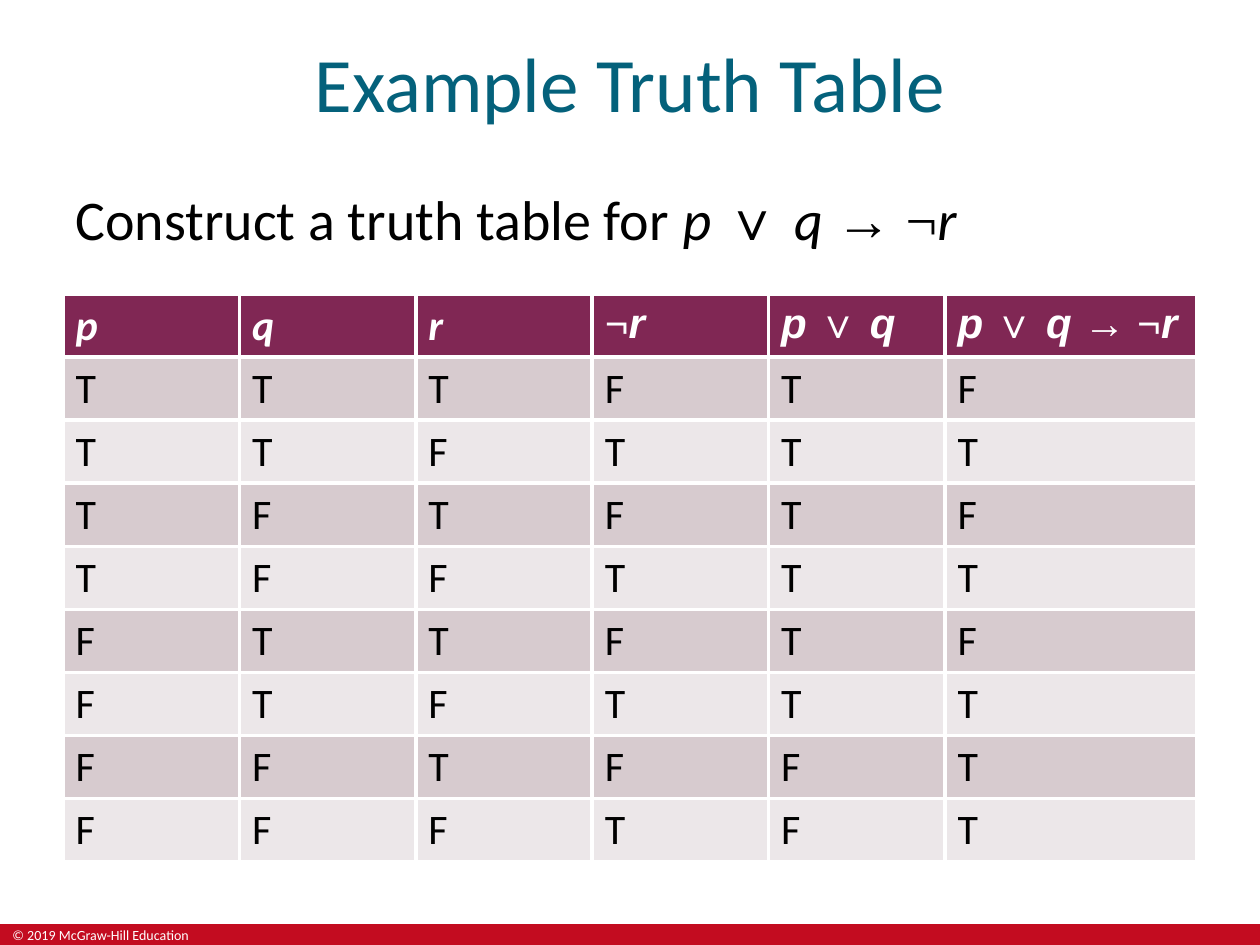
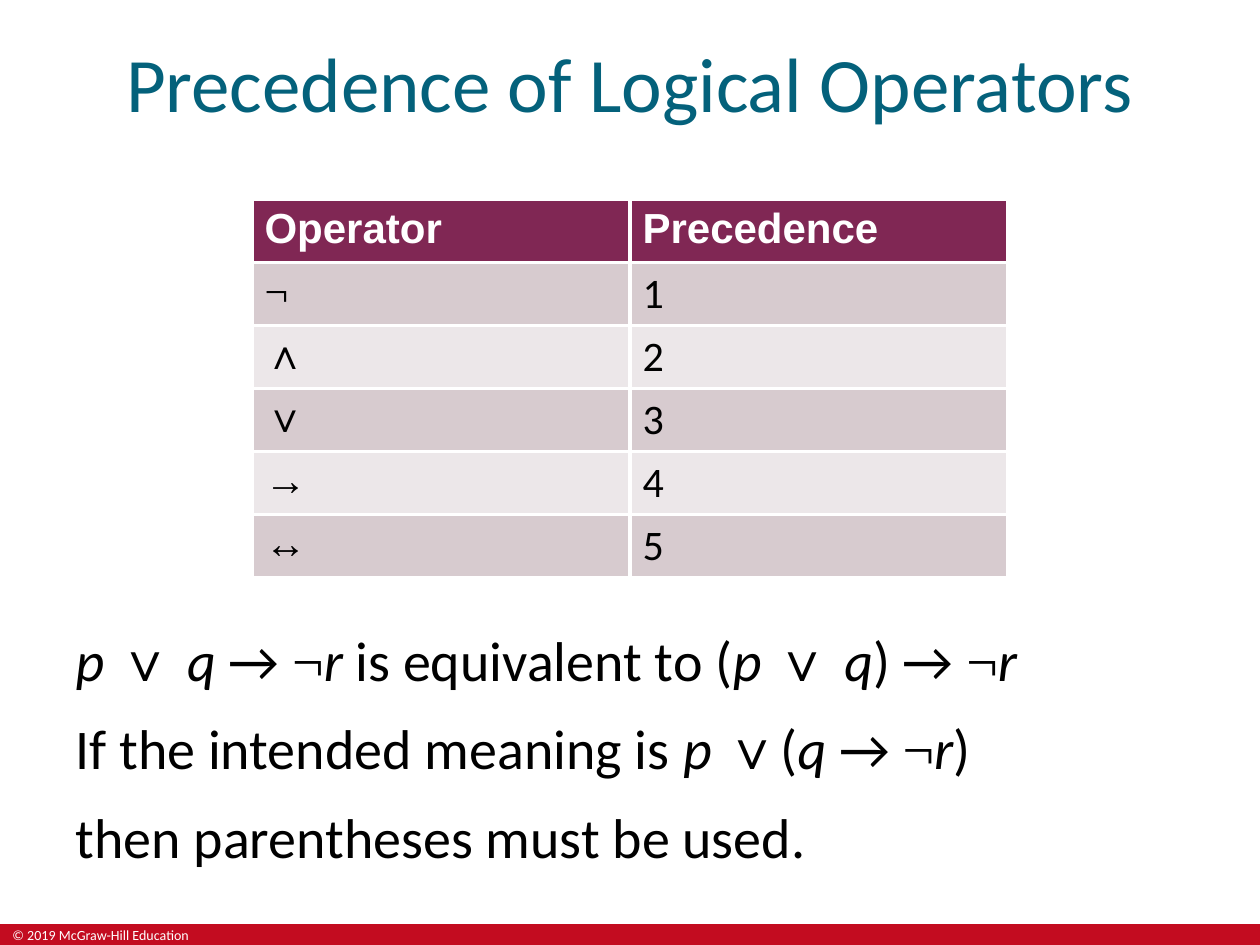
from lxml import etree
from pptx import Presentation
from pptx.dml.color import RGBColor
from pptx.enum.shapes import MSO_SHAPE
from pptx.enum.text import MSO_ANCHOR, PP_ALIGN
from pptx.oxml.ns import qn
from pptx.util import Pt

RECTANGLE = MSO_SHAPE.RECTANGLE
MIDDLE, TOP = MSO_ANCHOR.MIDDLE, MSO_ANCHOR.TOP
CENTER = PP_ALIGN.CENTER

SANS, HEADING, SYMBOL = "Calibri", "Arial", "Times New Roman"
WHITE, BLACK, TEAL, RED = "FFFFFF", "000000", "04617B", "C30C20"
PLUM, DARK_BAND, LIGHT_BAND = "802754", "D7CBCF", "ECE7E9"

SLIDE_WIDTH, SLIDE_HEIGHT = 720, 540
FOOTER_HEIGHT = 12
ROW_HEIGHT = 36
BORDER_WIDTH = 2.25
LEFT, BODY_WIDTH = 36, 655.2


def color(hex_code):
    return RGBColor.from_string(hex_code)


def plain(text, font=SANS):
    return text, font, False


def variable(text, font=SANS):
    return text, font, True


def symbol(text):
    return text, SYMBOL, False


def write(paragraph, text, font=SANS, size=24, ink=BLACK, bold=False, italic=False):
    run = paragraph.add_run()
    run.text = text
    run.font.name = font
    run.font.size = Pt(size)
    run.font.bold = bold
    run.font.italic = italic
    run.font.color.rgb = color(ink)


def write_runs(paragraph, runs, **style):
    for text, font, italic in runs:
        write(paragraph, text, font=font, italic=italic, **style)


def place(shape, left, top, width, height):
    shape.left, shape.top = Pt(left), Pt(top)
    shape.width, shape.height = Pt(width), Pt(height)


def add_footer(slide):
    top = SLIDE_HEIGHT - FOOTER_HEIGHT
    band = slide.shapes.add_shape(
        RECTANGLE, 0, Pt(top), Pt(SLIDE_WIDTH), Pt(FOOTER_HEIGHT))
    band.shadow.inherit = False
    band.fill.solid()
    band.fill.fore_color.rgb = color(RED)
    band.line.fill.background()
    copyright_line = slide.shapes.add_textbox(0, Pt(top), Pt(122.4), Pt(FOOTER_HEIGHT))
    copyright_line.text_frame.word_wrap = True
    paragraph = copyright_line.text_frame.paragraphs[0]
    paragraph.line_spacing = 0.8
    write(paragraph, "© 2019 McGraw-Hill Education", size=8, ink=WHITE)


def add_titled_slide(deck, heading):
    slide = deck.slides.add_slide(deck.slide_layouts[1])
    add_footer(slide)
    title = slide.shapes.title
    place(title, 0, 0, SLIDE_WIDTH, 93.6)
    title.text_frame.vertical_anchor = MIDDLE
    paragraph = title.text_frame.paragraphs[0]
    paragraph.alignment = CENTER
    write(paragraph, heading, size=44, ink=TEAL)
    return slide


def fill_body(slide, top, height, lines):
    body = slide.placeholders[1]
    place(body, LEFT, top, BODY_WIDTH, height)
    frame = body.text_frame
    frame.vertical_anchor = TOP
    for index, runs in enumerate(lines):
        paragraph = frame.add_paragraph() if index else frame.paragraphs[0]
        properties = paragraph._p.get_or_add_pPr()
        properties.set("marL", "0")
        properties.set("indent", "0")
        etree.SubElement(properties, qn("a:buNone"))
        paragraph.space_before = Pt(12 if index else 0)
        write_runs(paragraph, runs, size=32)


def add_borders(cell):
    properties = cell._tc.get_or_add_tcPr()
    for index, side in enumerate(("lnL", "lnR", "lnT", "lnB")):
        line = etree.Element(qn(f"a:{side}"), w=str(Pt(BORDER_WIDTH)))
        fill = etree.SubElement(line, qn("a:solidFill"))
        etree.SubElement(fill, qn("a:srgbClr"), val=WHITE)
        properties.insert(index, line)


def add_banded_table(slide, left, top, widths, header, rows):
    grid = [header, *rows]
    table = slide.shapes.add_table(
        len(grid), len(widths), Pt(left), Pt(top),
        Pt(sum(widths)), Pt(ROW_HEIGHT * len(grid))).table
    table.horz_banding = False
    for column, width in zip(table.columns, widths):
        column.width = Pt(width)
    for r, row in enumerate(grid):
        table.rows[r].height = Pt(ROW_HEIGHT)
        band = (DARK_BAND if r % 2 else LIGHT_BAND) if r else PLUM
        for c, runs in enumerate(row):
            cell = table.cell(r, c)
            cell.fill.solid()
            cell.fill.fore_color.rgb = color(band)
            add_borders(cell)
            write_runs(cell.text_frame.paragraphs[0], runs,
                       ink=BLACK if r else WHITE, bold=r == 0)


def add_truth_table_slide(deck):
    slide = add_titled_slide(deck, "Example Truth Table")
    fill_body(slide, 102, 414, [[
        plain("Construct a truth table for "), variable("p "), symbol("∨ "),
        variable("q "), symbol("→ ¬"), variable("r")]])
    negation = [symbol("¬"), variable("r", HEADING)]
    disjunction = [variable("p", HEADING), symbol(" ∨ "), variable("q", HEADING)]
    implication = [*disjunction, plain(" → ", HEADING), *negation]
    header = [[variable(name)] for name in "pqr"]
    header += [negation, disjunction, implication]
    truth_values = ["TTTFTF", "TTFTTT", "TFTFTF", "TFFTTT",
                    "FTTFTF", "FTFTTT", "FFTFFT", "FFFTFT"]
    rows = [[[plain(value)] for value in row] for row in truth_values]
    add_banded_table(slide, LEFT, 168, [100.8] * 5 + [144], header, rows)


def add_precedence_slide(deck):
    slide = add_titled_slide(deck, "Precedence of Logical Operators")
    header = [[plain(name, HEADING)] for name in ("Operator", "Precedence")]
    rows = [[[symbol(operator)], [plain(str(rank))]]
            for rank, operator in enumerate("¬∧∨→↔", start=1)]
    add_banded_table(slide, 144, 114, [216] * 2, header, rows)
    arrow_not = [plain("→ "), symbol("¬")]
    fill_body(slide, 354, 144, [
        [variable("p "), symbol("∨ "), variable("q "), *arrow_not, variable("r "),
         plain("is equivalent to ("), variable("p "), symbol("∨ "), variable("q"),
         plain(") "), *arrow_not, variable("r")],
        [plain("If the intended meaning is "), variable("p "), symbol("∨"),
         plain("("), variable("q "), *arrow_not, variable("r"), plain(")")],
        [plain("then parentheses must be used.")],
    ])


def main():
    deck = Presentation()
    deck.slide_width, deck.slide_height = Pt(SLIDE_WIDTH), Pt(SLIDE_HEIGHT)
    add_truth_table_slide(deck)
    add_precedence_slide(deck)
    deck.save("out.pptx")


if __name__ == "__main__":
    main()
